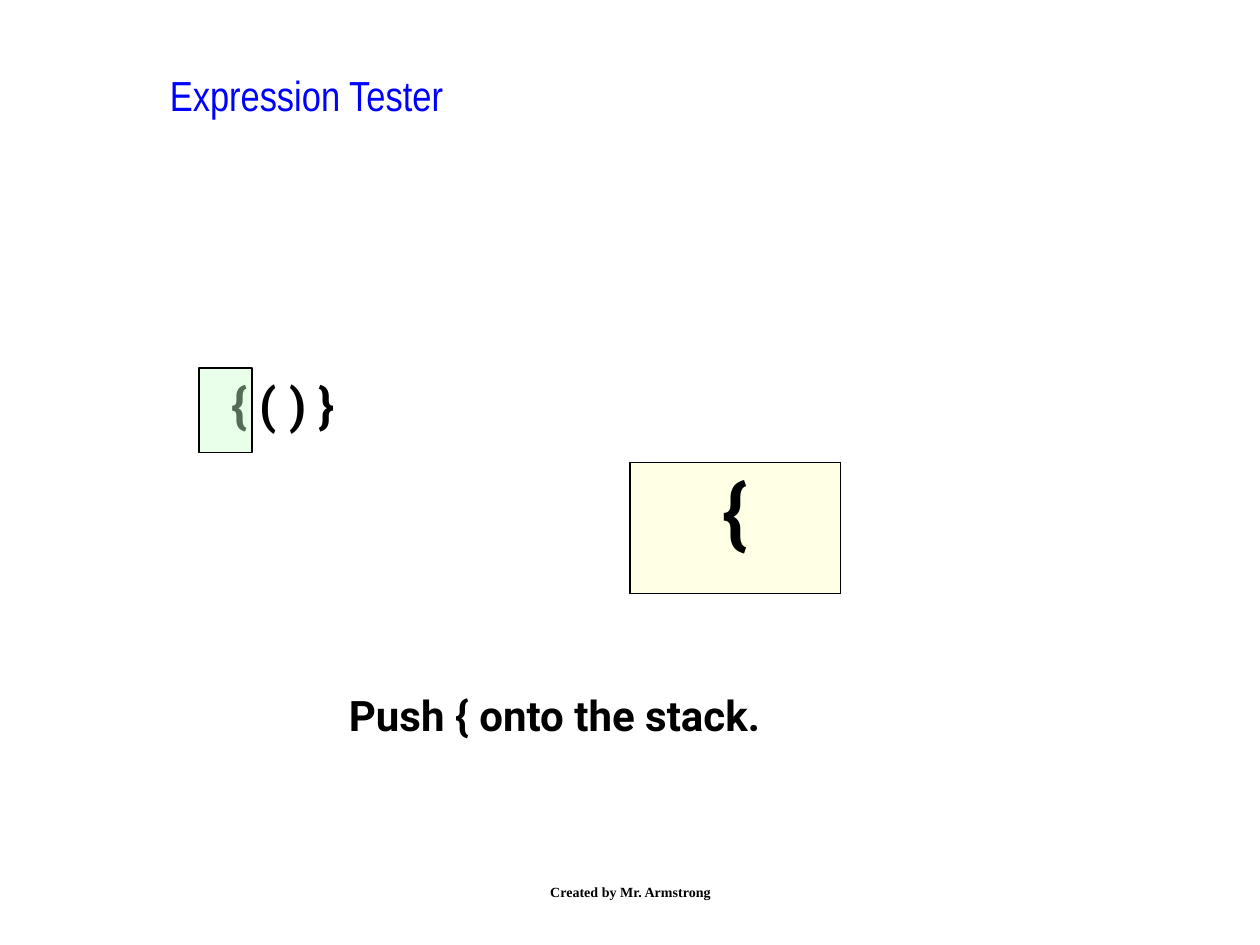
"""Builds the Expression Tester slide, showing { pushed onto the stack."""
import pptx
import pptx.dml.color
import pptx.enum.shapes
import pptx.enum.text
import pptx.oxml
import pptx.oxml.ns
import pptx.util
from pptx.util import Inches

COLORS = {
    "ink": "000000",
    "title": "0000FF",
    "title_edge": "CCFFFF",
    "marker": "CCFFCC",
    "stack": "FFFFCC",
}
CENTER = pptx.enum.text.PP_ALIGN.CENTER
GROW = pptx.enum.text.MSO_AUTO_SIZE.SHAPE_TO_FIT_TEXT
FIXED = pptx.enum.text.MSO_AUTO_SIZE.NONE


def rgb(name):
    return pptx.dml.color.RGBColor.from_string(COLORS[name])


def line_xml(tag, color, points):
    return pptx.oxml.parse_xml(
        f'<a:{tag} {pptx.oxml.ns.nsdecls("a")} w="{pptx.util.Pt(points)}">'
        f'<a:solidFill><a:srgbClr val="{COLORS[color]}"/></a:solidFill></a:{tag}>'
    )


def fill_translucent(owner, properties, color, percent):
    owner.fill.solid()
    owner.fill.fore_color.rgb = rgb(color)
    tint = properties.find(pptx.oxml.ns.qn("a:solidFill"))[0]
    tint.append(pptx.oxml.parse_xml(
        f'<a:alpha {pptx.oxml.ns.nsdecls("a")} val="{percent * 1000}"/>'))


def write(frame, text, size, font="Roboto", color="ink", bold=True, align=None):
    paragraph = frame.paragraphs[0]
    paragraph.text = text
    paragraph.alignment = align
    paragraph.font.size = pptx.util.Pt(size)
    paragraph.font.name = font
    paragraph.font.bold = bold
    paragraph.font.color.rgb = rgb(color)
    return paragraph


def add_text(slide, left, top, width, height, text, size, wrap=True,
             auto_size=FIXED, anchor=pptx.enum.text.MSO_ANCHOR.TOP, **style):
    frame = slide.shapes.add_textbox(
        Inches(left), Inches(top), Inches(width), Inches(height)).text_frame
    frame.word_wrap = wrap
    frame.auto_size = auto_size
    frame.vertical_anchor = anchor
    return write(frame, text, size, **style)


def add_marker(slide, left, top, width, height):
    marker = slide.shapes.add_shape(
        pptx.enum.shapes.MSO_SHAPE.RECTANGLE,
        Inches(left), Inches(top), Inches(width), Inches(height))
    marker.shadow.inherit = False
    fill_translucent(marker, marker.element.spPr, "marker", 42)
    marker.line.color.rgb = rgb("ink")
    marker.line.width = pptx.util.Pt(0.75)


def add_stack(slide, left, top, width, height, symbols):
    stack = slide.shapes.add_table(
        len(symbols), 1, Inches(left), Inches(top), Inches(width), Inches(height)).table
    stack.first_row = False
    stack.horz_banding = False
    for row, symbol in enumerate(symbols):
        cell = stack.cell(row, 0)
        write(cell.text_frame, symbol, 44, align=CENTER)
        properties = cell._tc.get_or_add_tcPr()
        for side in ("lnL", "lnR", "lnT", "lnB"):
            properties.append(line_xml(side, "ink", 1.08))
        fill_translucent(cell, properties, "stack", 50)


def main():
    deck = pptx.Presentation()
    deck.slide_width = Inches(10)
    deck.slide_height = Inches(7.5)
    slide = deck.slides.add_slide(deck.slide_layouts[6])

    add_text(slide, 1.74, 2.92, 1.07, 1.04, "{ ( ) }", 28, wrap=False, auto_size=GROW)
    add_text(slide, 2.67, 5.42, 4.08, 0.5, "Push { onto the stack.", 24, auto_size=GROW)
    title = add_text(slide, 1.25, 0.5, 7.17, 0.83, "Expression Tester", 24, wrap=False,
                     font="Arial Narrow", color="title", bold=False)
    title.runs[0].font._element.insert(0, line_xml("ln", "title_edge", 0.75))
    add_marker(slide, 1.58, 2.92, 0.42, 0.67)
    add_stack(slide, 5, 3.67, 1.67, 1.04, ["{"])
    add_text(slide, 3.42, 6.83, 3.17, 0.5, "Created by Mr. Armstrong", 8,
             anchor=pptx.enum.text.MSO_ANCHOR.MIDDLE, font="Times New Roman", align=CENTER)

    deck.save("out.pptx")


if __name__ == "__main__":
    main()
